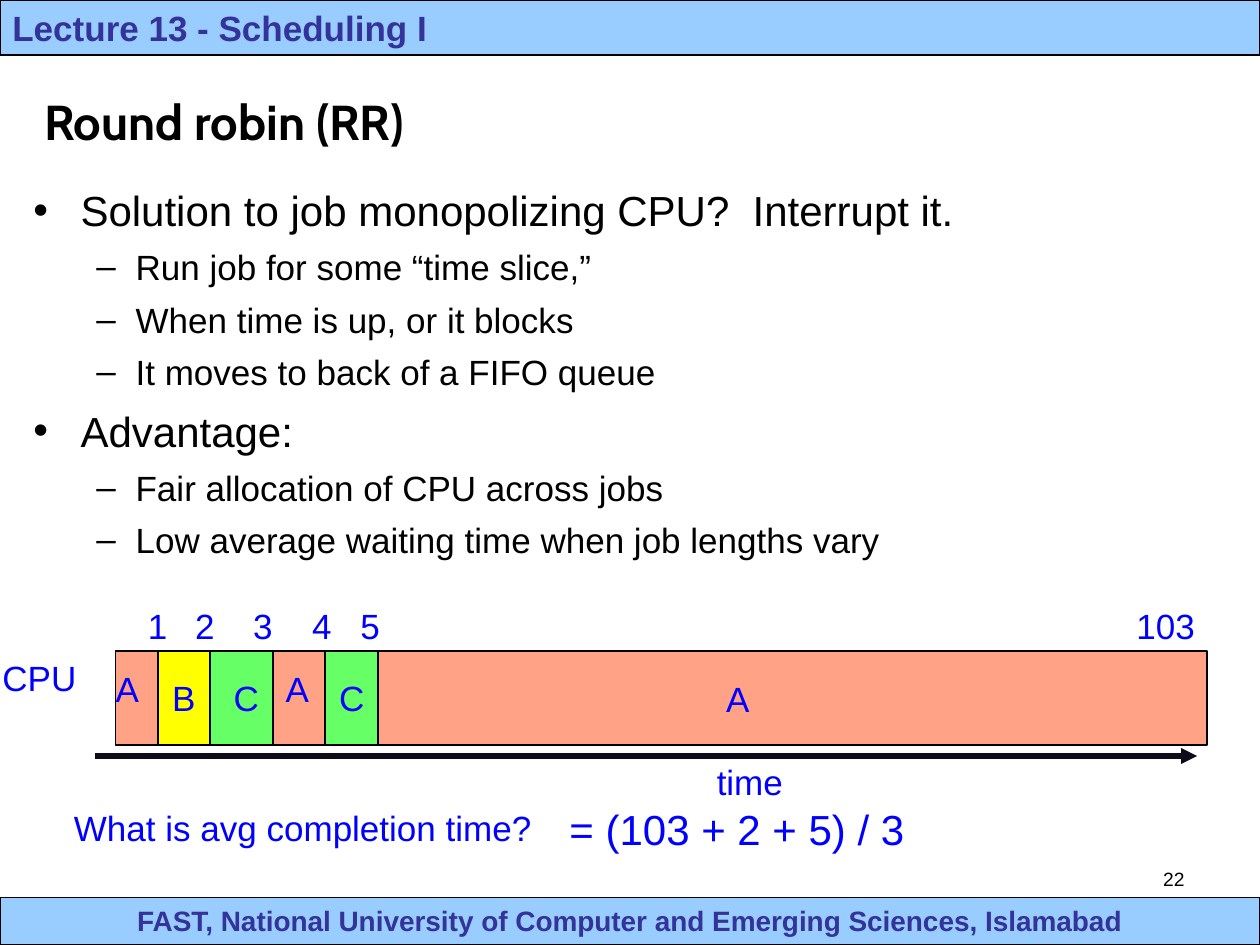
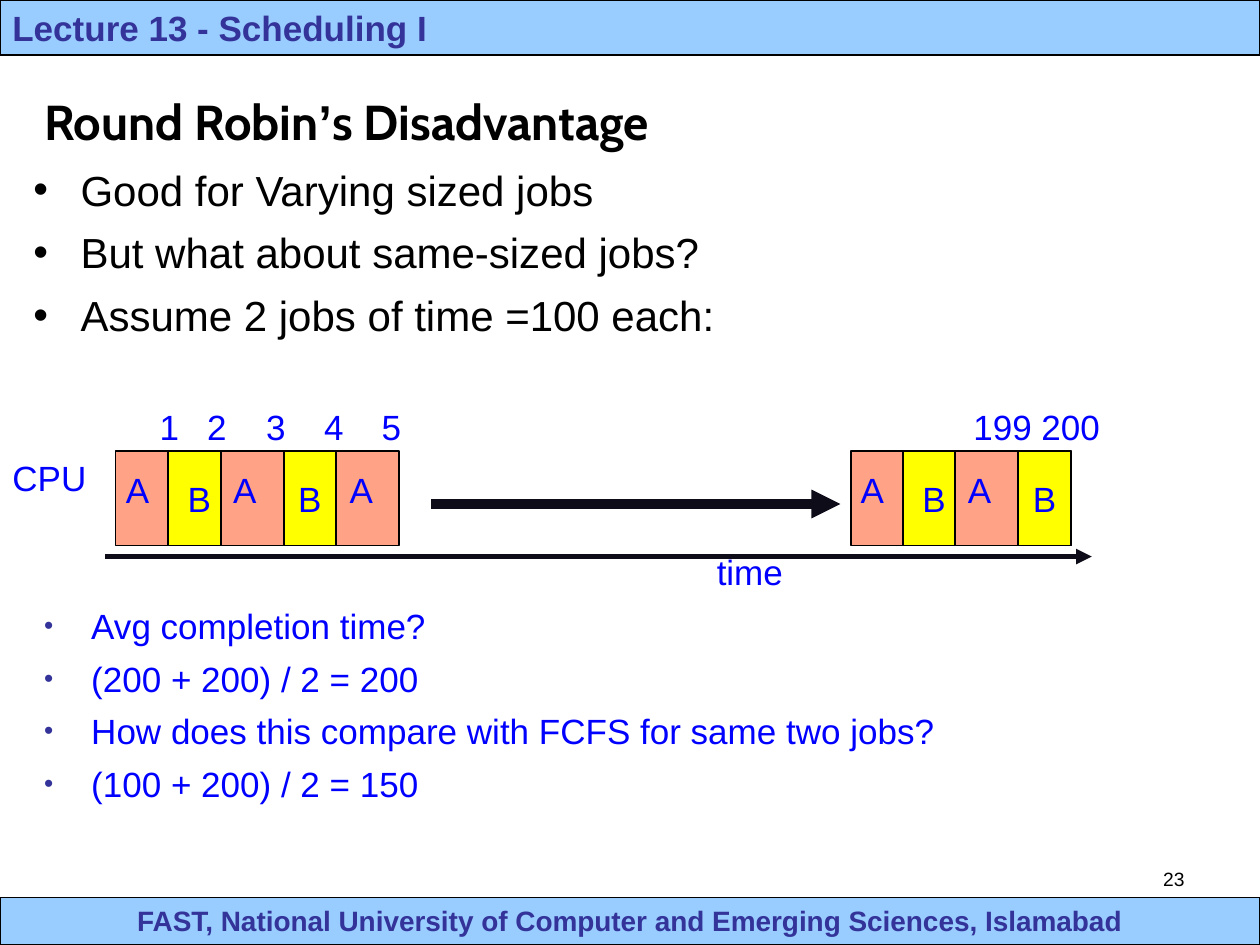
from typing import NamedTuple

from lxml.etree import SubElement
from pptx import Presentation
from pptx.dml.color import RGBColor
from pptx.enum.shapes import MSO_CONNECTOR, MSO_SHAPE
from pptx.enum.text import MSO_ANCHOR, MSO_AUTO_SIZE, PP_ALIGN
from pptx.oxml.ns import qn
from pptx.util import Cm, Pt

# Shared look
BLACK, NAVY, BLUE, SKY = "000000", "333399", "0000FF", "99CCFF"
SALMON, YELLOW, GREEN, INK = "FFA285", "FFFF00", "66FF66", "0F0C19"
SLICE_HEIGHT = 1.9
LABEL_INSET = 0.25


class Band(NamedTuple):
    text: str
    top: float
    height: float
    size: int
    align: PP_ALIGN


class Bullet(NamedTuple):
    text: str
    level: int = 0


class BulletStyle(NamedTuple):
    char: str
    indent: float
    hanging: float
    size: int
    before: int
    color: str = BLACK
    bullet_color: str = BLACK
    bullet_percent: int = 100


class Slice(NamedTuple):
    left: float
    right: float
    fill: str
    text: str = ""
    nudge: float = 0


class Label(NamedTuple):
    text: str
    left: float
    top: float
    width: float = 2.2
    size: int = 20


class Arrow(NamedTuple):
    start: float
    end: float
    y: float
    weight: float = 3


class Ticks(NamedTuple):
    left: float
    top: float
    first: str
    later: dict[str, float]


BANDS = [
    Band("FAST, National University of Computer and Emerging Sciences, Islamabad",
         18.09, 0.95, 16, PP_ALIGN.CENTER),
    Band("Lecture 13 - Scheduling I", 0, 1.11, 20, PP_ALIGN.LEFT),
]
BODY_STYLES = [BulletStyle("•", 0.95, 0.95, 24, 7), BulletStyle("–", 2.06, 0.79, 20, 6)]
ANSWER_STYLES = [BulletStyle("•", 0.95, 0.95, 20, 6, BLUE, NAVY, 75)]


def rgb(value: str) -> RGBColor:
    return RGBColor.from_string(value)


def style(paragraph, size: int, color: str, bold: bool = False, font: str = "Arial") -> None:
    paragraph.font.name = font
    paragraph.font.size = Pt(size)
    paragraph.font.bold = bold
    paragraph.font.color.rgb = rgb(color)


def place(shape, left: float, top: float, width: float, height: float) -> None:
    shape.left, shape.top, shape.width, shape.height = map(Cm, (left, top, width, height))


def add_rectangle(page, left: float, top: float, width: float, height: float,
                  fill: str, line_width: float):
    box = page.shapes.add_shape(MSO_SHAPE.RECTANGLE, Cm(left), Cm(top), Cm(width), Cm(height))
    box.shadow.inherit = False
    box.fill.solid()
    box.fill.fore_color.rgb = rgb(fill)
    box.line.color.rgb = rgb(BLACK)
    box.line.width = Pt(line_width)
    return box


def add_text(page, left: float, top: float, width: float, height: float):
    box = page.shapes.add_textbox(Cm(left), Cm(top), Cm(width), Cm(height))
    box.text_frame.word_wrap = True
    return box.text_frame


def add_label(page, label: Label) -> None:
    para = add_text(page, label.left, label.top, label.width, 1.12).paragraphs[0]
    para.text = label.text
    style(para, label.size, BLUE)


def add_band(page, band: Band):
    box = add_rectangle(page, 0, band.top, 25.4, band.height, SKY, 0.75)
    box.text_frame.vertical_anchor = MSO_ANCHOR.TOP
    para = box.text_frame.paragraphs[0]
    para.text = band.text
    para.alignment = band.align
    style(para, band.size, NAVY, bold=True)
    return box


def add_slice(page, part: Slice, top: float) -> None:
    box = add_rectangle(page, part.left, top, part.right - part.left, SLICE_HEIGHT, part.fill, 1)
    if part.text:
        frame = box.text_frame
        frame.word_wrap = False
        frame.vertical_anchor = MSO_ANCHOR.MIDDLE
        frame.margin_left = Cm(LABEL_INSET + part.nudge)
        para = frame.paragraphs[0]
        para.text = part.text
        para.alignment = PP_ALIGN.CENTER
        style(para, 20, BLUE)


def add_arrow(page, arrow: Arrow) -> None:
    line = page.shapes.add_connector(
        MSO_CONNECTOR.STRAIGHT, Cm(arrow.start), Cm(arrow.y), Cm(arrow.end), Cm(arrow.y))
    line.line.color.rgb = rgb(INK)
    line.line.width = Pt(arrow.weight)
    SubElement(line.line._get_or_add_ln(), qn("a:tailEnd"), type="triangle")
    SubElement(line.element.spPr, qn("a:effectLst"))


def add_ticks(page, ticks: Ticks) -> None:
    """Write the time marks in one line, each later one centred on its own tab stop."""
    para = add_text(page, ticks.left, ticks.top, 22.6, 1.12).paragraphs[0]
    para.text = "\t".join([ticks.first, *ticks.later])
    stops = SubElement(para._p.get_or_add_pPr(), qn("a:tabLst"))
    for position in ticks.later.values():
        SubElement(stops, qn("a:tab"), pos=str(Cm(position)), algn="ctr")
    style(para, 20, BLUE)


def fill_list(frame, bullets: list[Bullet], styles: list[BulletStyle]) -> None:
    frame.auto_size = MSO_AUTO_SIZE.NONE
    for index, bullet in enumerate(bullets):
        look = styles[bullet.level]
        para = frame.add_paragraph() if index else frame.paragraphs[0]
        para.text = bullet.text
        para.level = bullet.level
        para.space_before = Pt(look.before if index else 0)
        props = para._p.get_or_add_pPr()
        props.set("marL", str(Cm(look.indent)))
        props.set("indent", str(-Cm(look.hanging)))
        color = SubElement(props, qn("a:buClr"))
        SubElement(color, qn("a:srgbClr"), val=look.bullet_color)
        SubElement(props, qn("a:buSzPct"), val=str(look.bullet_percent * 1000))
        SubElement(props, qn("a:buFont"), typeface="Arial")
        SubElement(props, qn("a:buChar"), char=look.char)
        style(para, look.size, look.color)


def add_page(deck, number: int, title: str, bullets: list[Bullet],
             body_top: float, body_height: float):
    page = deck.slides.add_slide(deck.slide_layouts[1])
    heading, body = page.placeholders

    # Title, with its apostrophe in Arial
    place(heading, 0.64, 1.48, 22.86, 1.9)
    heading.text_frame.auto_size = MSO_AUTO_SIZE.NONE
    heading.text_frame.vertical_anchor = MSO_ANCHOR.MIDDLE
    para = heading.text_frame.paragraphs[0]
    para.alignment = PP_ALIGN.LEFT
    style(para, 28, BLACK, bold=True, font="Cabin")
    for text in filter(None, title.partition("’")):
        span = para.add_run()
        span.text = text
        if text == "’":
            span.font.name = "Arial"

    # Body list and page number
    place(body, 0.42, body_top, 24.97, body_height)
    fill_list(body.text_frame, bullets, BODY_STYLES)
    para = add_text(page, 18.2, 17.35, 5.93, 1.32).paragraphs[0]
    para.text = str(number)
    para.alignment = PP_ALIGN.RIGHT
    style(para, 11, BLACK)
    return page


def add_timeline(page, top: float, slices: list[Slice], ticks: Ticks,
                 arrows: list[Arrow], labels: list[Label]) -> None:
    add_ticks(page, ticks)
    for part in slices:
        add_slice(page, part, top)
    for arrow in arrows:
        add_arrow(page, arrow)
    for label in labels:
        add_label(page, label)


def build_round_robin(deck):
    page = add_page(deck, 22, "Round robin (RR)", [
        Bullet("Solution to job monopolizing CPU?  Interrupt it."),
        Bullet("Run job for some “time slice,”", 1),
        Bullet("When time is up, or it blocks", 1),
        Bullet("It moves to back of a FIFO queue", 1),
        Bullet("Advantage:"),
        Bullet("Fair allocation of CPU across jobs", 1),
        Bullet("Low average waiting time when job lengths vary", 1),
    ], 3.6, 10.37)
    add_timeline(
        page, 13.12,
        [Slice(2.33, 24.34, SALMON),
         Slice(3.18, 4.23, YELLOW, "B"),
         Slice(4.23, 5.5, GREEN, "C", 0.2),
         Slice(6.56, 7.62, GREEN, "C")],
        Ticks(2.73, 12.07, "1", {"2": 1.15, "3": 2.32, "4": 3.51, "5": 4.48, "103": 20.52}),
        [Arrow(1.91, 24.13, 15.24)],
        [Label("CPU", -0.2, 13.1),
         Label("A", 2.08, 13.34, 1.1),
         Label("A", 5.51, 13.34, 1.1),
         Label("A", 14.39, 13.54, 1.1),
         Label("time", 14.2, 15.21),
         Label("What is avg completion time?", 1.24, 16.13, 10),
         Label("= (103 + 2 + 5) / 3", 11.23, 16.08, 12.27, 24)])
    return page


def build_disadvantage(deck) -> None:
    page = add_page(deck, 23, "Round Robin’s Disadvantage", [
        Bullet("Good for Varying sized jobs"),
        Bullet("But what about same-sized jobs?"),
        Bullet("Assume 2 jobs of time =100 each:"),
    ], 3.18, 4.87)
    add_timeline(
        page, 9.1,
        [Slice(2.33, 8.04, SALMON),
         Slice(3.39, 4.45, YELLOW, "B", 0.2),
         Slice(5.72, 6.77, YELLOW, "B"),
         Slice(17.15, 21.59, SALMON),
         Slice(18.2, 19.26, YELLOW, "B", 0.2),
         Slice(20.53, 21.59, YELLOW, "B")],
        Ticks(2.97, 8.05, "1", {"2": 1.15, "3": 2.34, "4": 3.51, "5": 4.67, "199 200": 17.68}),
        [Arrow(2.12, 22.01, 11.22), Arrow(8.69, 16.94, 10.16, 5.5)],
        [Label("CPU", 0, 9.07), Label("time", 14.2, 10.97)]
        + [Label("A", left, 9.31, 1.1) for left in (2.29, 4.45, 6.8, 17.1, 19.26)])

    # Questions and answers
    fill_list(add_text(page, 0.64, 12.07, 24.77, 5.72), [
        Bullet("Avg completion time?"),
        Bullet("(200 + 200) / 2 = 200"),
        Bullet("How does this compare with FCFS for same two jobs?"),
        Bullet("(100 + 200) / 2 = 150"),
    ], ANSWER_STYLES)


def main() -> None:
    deck = Presentation()
    deck.slide_width, deck.slide_height = Cm(25.4), Cm(19.05)
    first_page = build_round_robin(deck)
    build_disadvantage(deck)

    # The bands move to the layout, so every page shows them
    layout = deck.slide_layouts[1]
    for band in BANDS:
        layout.shapes.element.append(add_band(first_page, band).element)
    deck.save("out.pptx")


if __name__ == "__main__":
    main()
